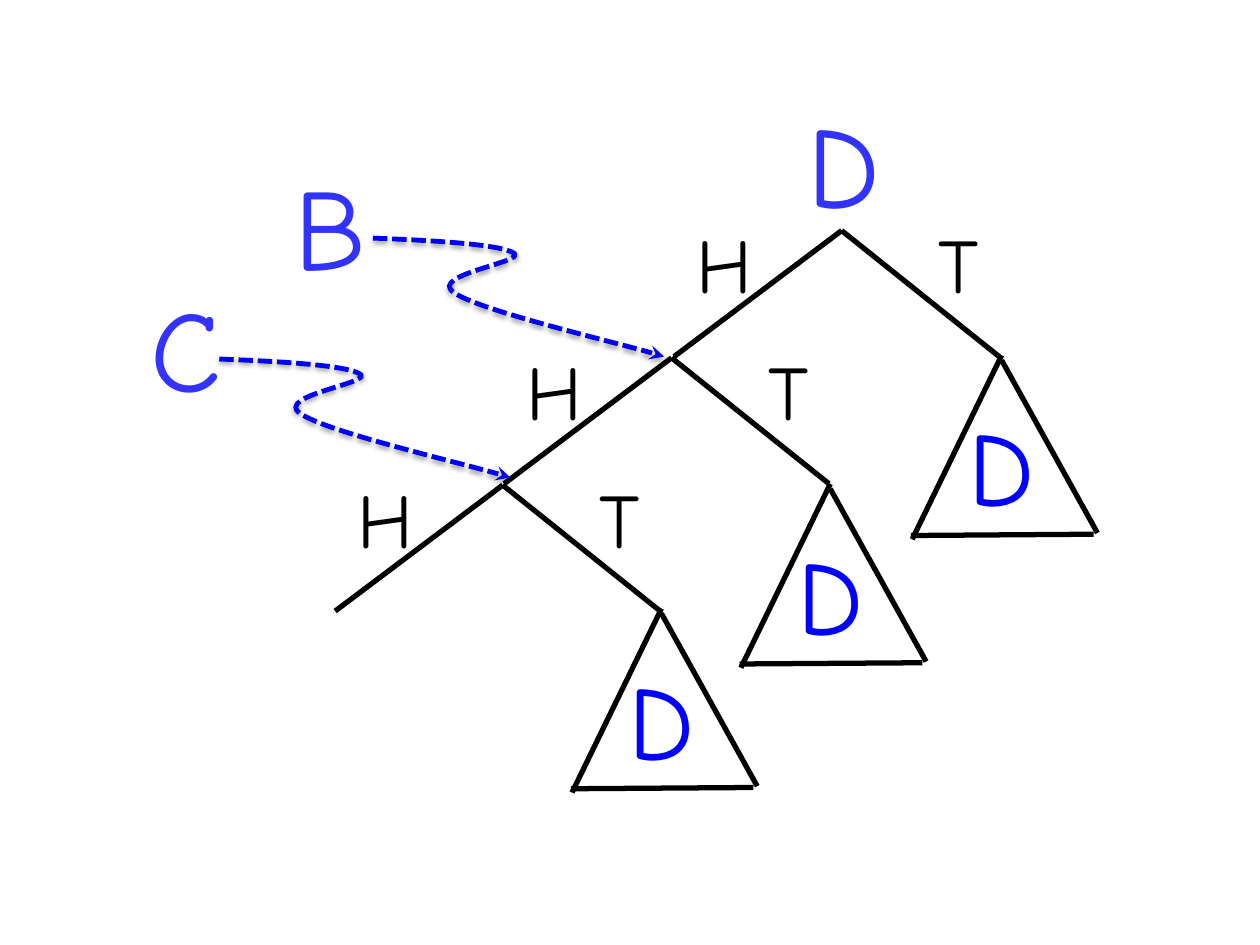
from lxml import etree
from pptx import Presentation
from pptx.dml.color import RGBColor
from pptx.enum.dml import MSO_LINE
from pptx.enum.shapes import MSO_CONNECTOR
from pptx.enum.text import MSO_AUTO_SIZE
from pptx.oxml.ns import qn
from pptx.util import Inches, Pt

STRAIGHT = MSO_CONNECTOR.STRAIGHT
DASH = MSO_LINE.SQUARE_DOT
FIT_SHAPE = MSO_AUTO_SIZE.SHAPE_TO_FIT_TEXT
FONT = "Comic Neue"
BLACK, BLUE, LABEL_BLUE = "000000", "0000FF", "3333FF"

FORKS = [(6.68, 1.83), (5.33, 2.84), (3.99, 3.85)]
BRANCHES = [(-1.33, 1), (1.25, 1)]
TOSSES = [("H", -1.25, 0.68), ("T", 0.67, 0.64)]
SUBTREES = [(7.95, 2.82), (6.59, 3.84), (5.25, 4.83)]
SUBTREE_SIDES = [((0, 0), (-0.71, 1.46)), ((0, 0.04), (0.76, 1.41)), ((-0.72, 1.43), (0.73, 1.42))]
NODE_LABELS = [("D", 6.31, 0.69, 0.87), ("C", 1.1, 2.15, 0.76), ("B", 2.24, 1.18, 0.79)]
POINTERS = [(2.96, 1.89), (1.74, 2.85)]
POINTER_CURVE = [(0.51, 0.02), (1.01, 0.05), (1.12, 0.12), (1.22, 0.19), (0.44, 0.29),
                 (0.64, 0.43), (0.83, 0.57), (2.03, 0.85), (2.31, 0.94)]


def color(hex_value):
    """Turn a hex string into a colour."""
    return RGBColor.from_string(hex_value)


def add_letter(slide, letter, left, top, width, height, size, hex_value):
    """Place one letter in an unwrapped text box."""
    box = slide.shapes.add_textbox(Inches(left), Inches(top), Inches(width), Inches(height))
    frame = box.text_frame
    frame.word_wrap = False
    frame.auto_size = FIT_SHAPE
    frame.text = letter
    font = frame.paragraphs[0].runs[0].font
    font.name, font.size = FONT, Pt(size)
    font.color.rgb = color(hex_value)


def add_edge(slide, origin, start, end):
    """Draw a black line between two offsets from an origin."""
    x, y = origin
    edge = slide.shapes.add_connector(
        STRAIGHT, Inches(x + start[0]), Inches(y + start[1]), Inches(x + end[0]), Inches(y + end[1]))
    edge.line.color.rgb = color(BLACK)
    edge.line.width = Pt(3)
    etree.SubElement(edge._element.spPr, qn("a:effectLst"))


def add_pointer(slide, x, y):
    """Draw a dashed, curved arrow with a soft shadow."""
    builder = slide.shapes.build_freeform(Inches(x), Inches(y))
    builder.add_line_segments([(Inches(x + dx), Inches(y + dy)) for dx, dy in POINTER_CURVE], close=False)
    pointer = builder.convert_to_shape()
    pointer.fill.background()
    pointer.line.color.rgb = color(BLUE)
    pointer.line.width = Pt(2.75)
    pointer.line.dash_style = DASH
    pointer.shadow.inherit = False
    properties = pointer._element.spPr

    outline = next(properties.iter(qn("a:path")))
    segments = outline.findall(qn("a:lnTo"))
    for first in range(0, len(segments), 3):
        bezier = etree.SubElement(outline, qn("a:cubicBezTo"))
        for segment in segments[first:first + 3]:
            bezier.append(segment[0])
            outline.remove(segment)

    etree.SubElement(properties.find(qn("a:ln")), qn("a:tailEnd"), type="stealth")
    shadow = etree.SubElement(properties.find(qn("a:effectLst")), qn("a:outerShdw"),
                              blurRad=str(Pt(3.1)), dist=str(Pt(1.6)), dir="5400000", rotWithShape="0")
    shade = etree.SubElement(shadow, qn("a:srgbClr"), val=BLACK)
    etree.SubElement(shade, qn("a:alpha"), val="38000")


def main():
    """Build the coin-toss tree slide."""
    deck = Presentation()
    deck.slide_width, deck.slide_height = Inches(10), Inches(7.5)
    slide = deck.slides.add_slide(deck.slide_layouts[6])

    for x, y in FORKS:
        for branch in BRANCHES:
            add_edge(slide, (x, y), (0, 0), branch)
        for toss, dx, width in TOSSES:
            add_letter(slide, toss, x + dx, y - 0.16, width, 0.84, 44, BLACK)
    for x, y in SUBTREES:
        for start, end in SUBTREE_SIDES:
            add_edge(slide, (x, y), start, end)
        add_letter(slide, "D", x - 0.36, y + 0.32, 0.81, 1.11, 60, BLUE)
    for letter, left, top, width in NODE_LABELS:
        add_letter(slide, letter, left, top, width, 1.21, 66, LABEL_BLUE)
    for x, y in POINTERS:
        add_pointer(slide, x, y)

    deck.save("out.pptx")


if __name__ == "__main__":
    main()
